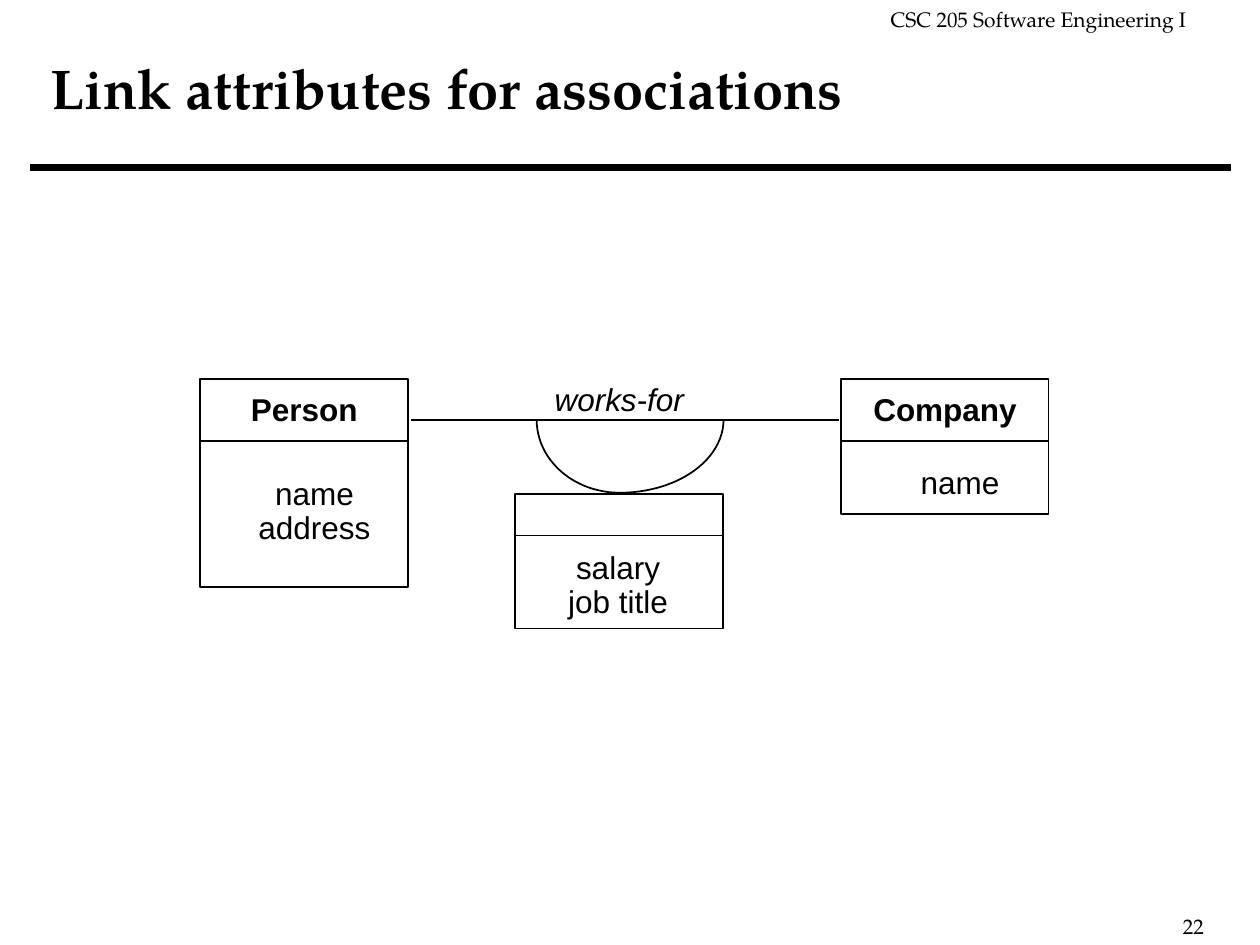
from math import cos, pi, sin

from lxml.etree import SubElement
from pptx import Presentation
from pptx.dml.color import RGBColor
from pptx.enum.shapes import MSO_CONNECTOR as Connector, MSO_SHAPE as Shape
from pptx.enum.text import PP_ALIGN as Align
from pptx.oxml.ns import qn
from pptx.util import Pt


def color(value):
    return RGBColor.from_string(value)


class Slide:
    ink = "000000"
    paper = "FFFFFF"
    serif = "TeX Gyre Pagella"
    sans = "Arial"
    thin = 1
    class_width = 118.8
    arc_steps = 24

    def __init__(self, deck):
        self.page = deck.slides.add_slide(deck.slide_layouts[6])
        self.page.background.fill.solid()
        self.page.background.fill.fore_color.rgb = color(self.paper)

    def outline(self, item, weight):
        item.line.color.rgb = color(self.ink)
        item.line.width = Pt(weight)

    def text(self, lines, left, top, width, height, size=18, font=sans,
             align=Align.CENTER, spacing=0.9, bold=False, italic=False,
             wrap=False, insets=(7.2, 3.6)):
        box = self.page.shapes.add_textbox(Pt(left), Pt(top), Pt(width), Pt(height))
        frame = box.text_frame
        frame.word_wrap = wrap
        frame.margin_left = frame.margin_right = Pt(insets[0])
        frame.margin_top = frame.margin_bottom = Pt(insets[1])
        for index, line in enumerate(lines):
            para = frame.add_paragraph() if index else frame.paragraphs[0]
            para.alignment = align
            para.line_spacing = spacing
            span = para.add_run()
            span.text = line
            span.font.name = font
            span.font.size = Pt(size)
            span.font.bold = bold
            span.font.italic = italic
            span.font.color.rgb = color(self.ink)
        return box

    def serif_text(self, line, left, top, width, height, size=12, **style):
        return self.text([line], left, top, width, height, size, self.serif,
                         Align.LEFT, 1.0, **style)

    def line(self, left, right, y, weight=thin):
        rule = self.page.shapes.add_connector(
            Connector.STRAIGHT, Pt(left), Pt(y), Pt(right), Pt(y))
        self.outline(rule, weight)
        SubElement(rule._element.spPr, qn("a:effectLst"))

    def class_box(self, left, top, height, header):
        box = self.page.shapes.add_shape(
            Shape.RECTANGLE, Pt(left), Pt(top), Pt(self.class_width), Pt(height))
        box.shadow.inherit = False
        box.fill.background()
        self.outline(box, self.thin)
        self.line(left, left + self.class_width, top + header)

    def quarter_arc(self, center, top, reach, drop):
        angles = [pi / 2 * step / self.arc_steps for step in range(self.arc_steps + 1)]
        points = [(Pt(center + reach * cos(angle)), Pt(top + drop * sin(angle)))
                  for angle in angles]
        builder = self.page.shapes.build_freeform(*points[0])
        builder.add_line_segments(points[1:], close=False)
        arc = builder.convert_to_shape()
        arc.shadow.inherit = False
        arc.fill.background()
        self.outline(arc, self.thin)


def main():
    deck = Presentation()
    deck.slide_width, deck.slide_height = Pt(720), Pt(540)
    slide = Slide(deck)

    course = slide.serif_text("CSC 205 Software Engineering I", 501.8, 0, 183.6, 21.6)
    course.fill.solid()
    course.fill.fore_color.rgb = color(slide.paper)
    slide.serif_text("22", 668.9, 518.4, 27, 21.6)
    slide.line(17.3, 703.4, 95.8, 4)
    slide.serif_text("Link attributes for associations", 23.8, 28.1, 483.1, 42.5,
                     size=32, bold=True, wrap=True, insets=(5, 2.2))

    class_top, header = 216.7, 35.3
    name_top, name_height, pair_height = 221.8, 26.6, 46.1

    slide.class_box(114.5, class_top, 118.8, header)
    slide.text(["Person"], 136.1, name_top, 75.6, name_height, bold=True)
    slide.text(["name", "address"], 136.1, 270, 87.1, pair_height, wrap=True)

    slide.class_box(480.4, class_top, 77, header)
    slide.text(["Company"], 491.8, name_top, 96.5, name_height, bold=True)
    slide.text(["name"], 514.1, 263.5, 69.1, name_height, wrap=True)

    link_y = 239.9
    slide.line(234.7, 479.5, link_y)
    slide.text(["works-for"], 309.6, 216, 88.6, name_height, italic=True)

    slide.class_box(294.5, 282.2, 77, 23.8)
    slide.text(["salary", "job title"], 310.3, 311.8, 85.7, pair_height, wrap=True)
    for reach in (59.3, -47.5):
        slide.quarter_arc(354.2, link_y, reach, 41.7)

    deck.save("out.pptx")


if __name__ == "__main__":
    main()
